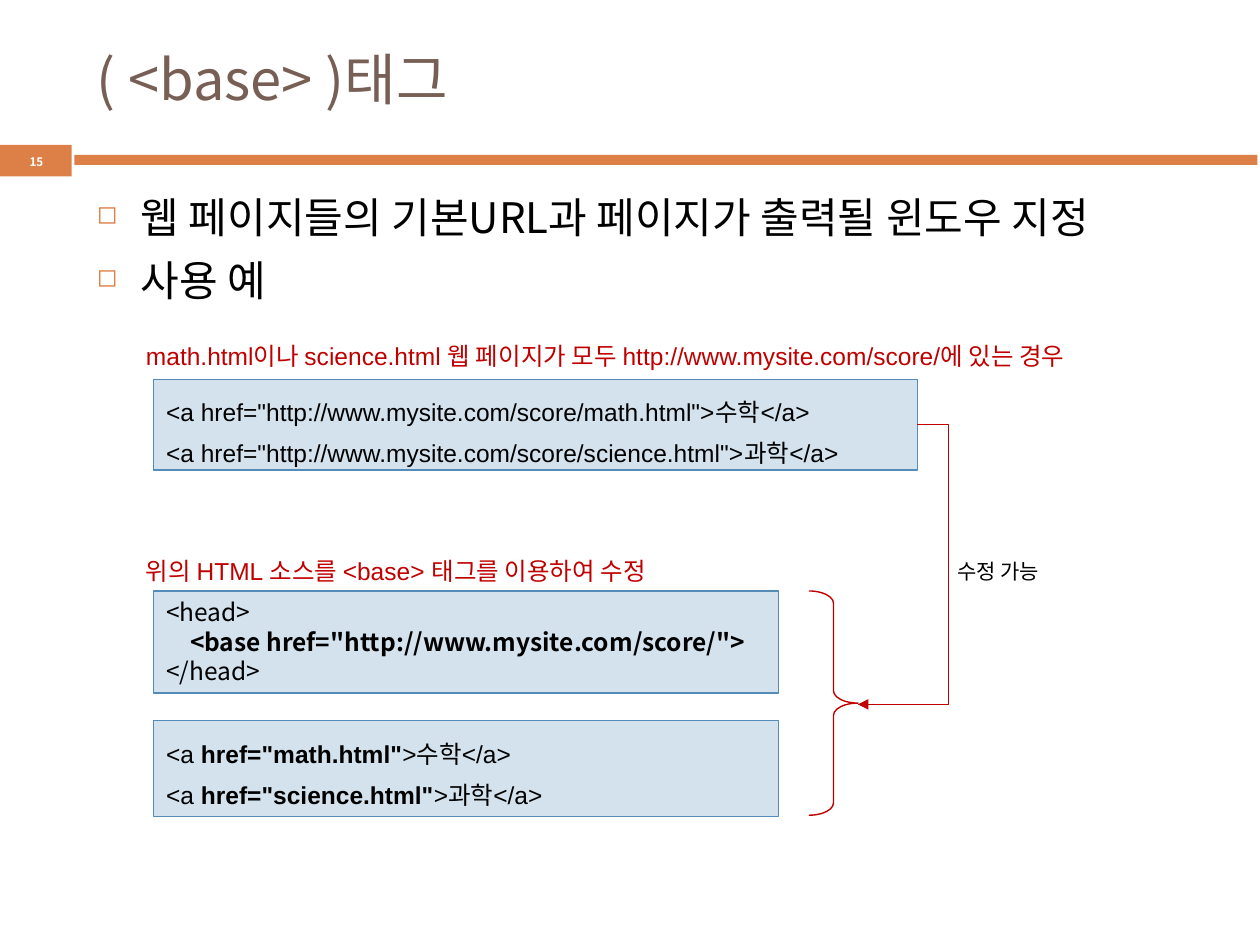
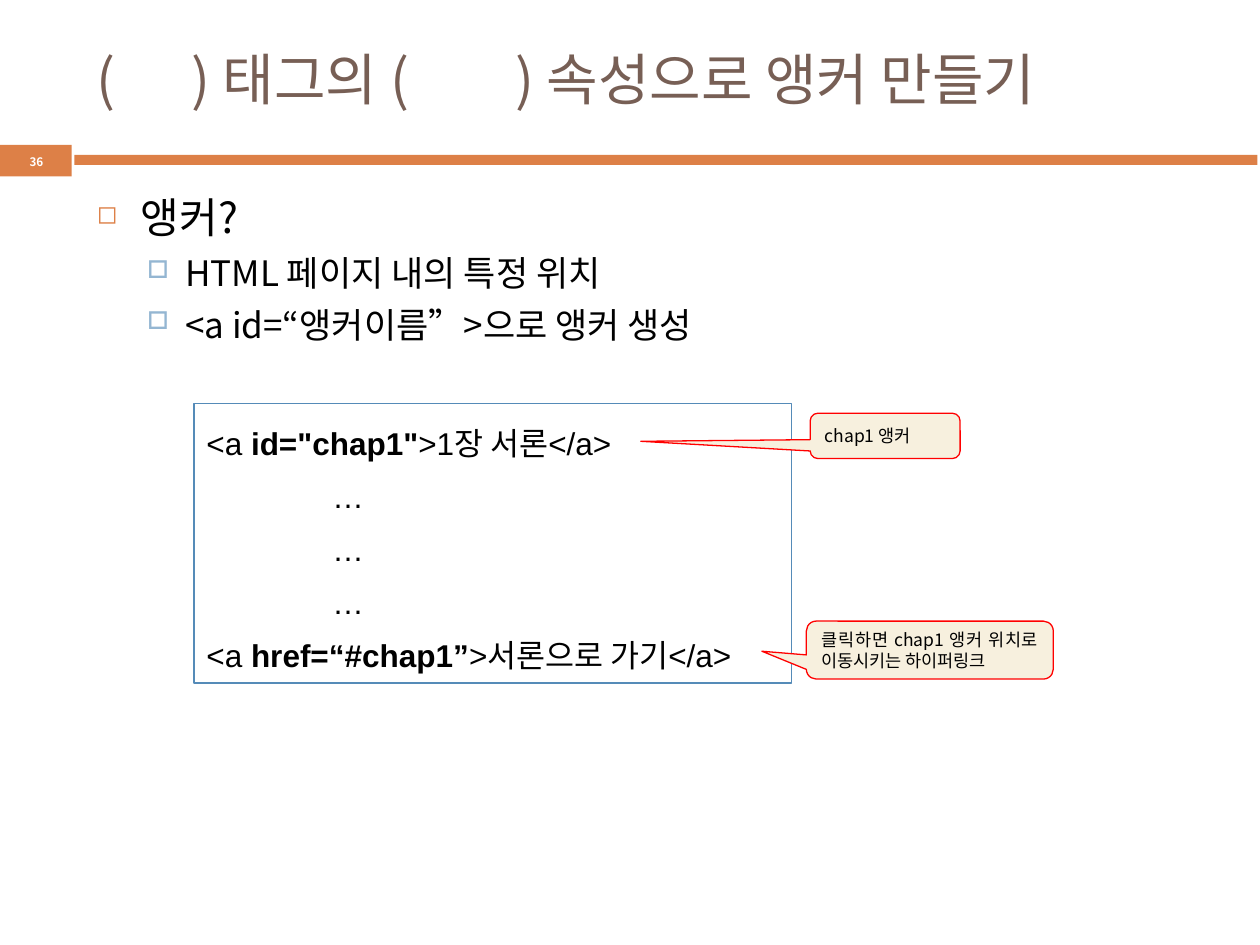
from pptx import Presentation
from pptx.util import Inches, Pt
from pptx.dml.color import RGBColor as Rgb
from pptx.enum.shapes import MSO_SHAPE as Form, MSO_CONNECTOR as Link
from pptx.enum.text import PP_ALIGN as Align, MSO_ANCHOR as Anchor
from pptx.oxml.ns import qn
from lxml.etree import SubElement as Sub

COLS, ROWS = 100, 75
INK = {"band": "DD8047", "title": "775F55", "text": "000000", "white": "FFFFFF",
       "code": "D4E2ED", "edge": "558BB8", "note": "C00000", "sub": "94B6D2",
       "tip": "F7F0DE", "red": "FF0000"}
SANS, CODE = "Noto Sans CJK KR", "Arial"
# Outline levels: mark, its colour and percent, left edge, hang, size, space before
LEVELS = [("◻", "band", 60, 0.35, 0.35, 24, 7),
          ("□", "sub", 70, 0.7, 0.3, 20, 5.5)]


def write(frame, lines, size=14, font=SANS, ink="text", bold=False, align=None,
          space=None, tabs=(), wrap=True, anchor=Anchor.TOP):
    """Fill a frame with lines; parts between asterisks are bold."""
    frame.word_wrap, frame.vertical_anchor = wrap, anchor
    for i, line in enumerate(lines):
        para = frame.paragraphs[0] if i == 0 else frame.add_paragraph()
        para.alignment = align or Align.LEFT
        if space:
            para.line_spacing = space
        if tabs:
            stops = Sub(para._p.get_or_add_pPr(), qn("a:tabLst"))
            for stop in tabs:
                Sub(stops, qn("a:tab"), pos=str(Inches(stop)), algn="l")
        for j, part in enumerate(line.split("*")):
            if not part:
                continue
            run = para.add_run()
            run.text = part
            face = run.font
            face.size, face.name, face.bold = Pt(size), font, bold or j % 2 == 1
            face.color.rgb = Rgb.from_string(INK[ink])
            Sub(face._element, qn("a:ea"), typeface=SANS)
    return frame


class Deck:
    def __init__(self):
        self.prs = Presentation()
        self.prs.slide_width, self.prs.slide_height = Inches(10), Inches(7.5)

    def grid(self, *spots):
        """Turn column, row, column, row ... into lengths."""
        units = self.prs.slide_width / COLS, self.prs.slide_height / ROWS
        return [round(s * units[i % 2]) for i, s in enumerate(spots)]

    def page(self, number, title, **fmt):
        self.slide = self.prs.slides.add_slide(self.prs.slide_layouts[6])
        self.shape(Form.RECTANGLE, (0, 11.5, 5.7, 2.5), fill="band")
        self.shape(Form.RECTANGLE, (5.9, 12.3, 93.9, 0.8), fill="band")
        self.text((6.7, 2.5, 89.2, 7.4), [title], size=32, ink="title",
                  anchor=Anchor.MIDDLE, **fmt)
        frame = self.text((0, 11.9, 5.8, 1.9), [str(number)], size=6.7, ink="white",
                          bold=True, align=Align.CENTER, anchor=Anchor.MIDDLE)
        frame.margin_top = frame.margin_bottom = 0

    def paint(self, line, ink, width):
        line.color.rgb, line.width = Rgb.from_string(INK[ink]), Pt(width)

    def shape(self, form, box, fill=None, edge=None, width=0.75, bends=()):
        item = self.slide.shapes.add_shape(form, *self.grid(*box))
        item.shadow.inherit = False
        if fill:
            item.fill.solid()
            item.fill.fore_color.rgb = Rgb.from_string(INK[fill])
        else:
            item.fill.background()
        if edge:
            self.paint(item.line, edge, width)
        else:
            item.line.fill.background()
        for i, bend in enumerate(bends):
            item.adjustments[i] = bend
        return item

    def text(self, box, lines, **fmt):
        item = self.slide.shapes.add_textbox(*self.grid(*box))
        return write(item.text_frame, lines, **fmt)

    def outline(self, items):
        frame = self.text((6.7, 14.7, 89.2, 55.1), [text for _, text in items])
        for para, (level, _) in zip(frame.paragraphs, items):
            mark, ink, part, left, hang, size, gap = LEVELS[level]
            para.level, para.space_before = level, Pt(gap)
            para.runs[0].font.size = Pt(size)
            props = para._p.get_or_add_pPr()
            props.set("marL", str(Inches(left)))
            props.set("indent", str(-Inches(hang)))
            Sub(Sub(props, qn("a:buClr")), qn("a:srgbClr"), val=INK[ink])
            Sub(props, qn("a:buSzPct"), val=str(part * 1000))
            Sub(props, qn("a:buChar"), char=mark)

    def code(self, box, lines, fill="code", **fmt):
        item = self.shape(Form.RECTANGLE, box, fill, "edge")
        write(item.text_frame, lines, **{"font": CODE, "space": 1.4, **fmt})

    def note(self, row, line):
        self.text((10.6, row, 83.5, 4.5), [line], font=CODE, ink="note", space=1.6)

    def tip(self, box, line, bends):
        item = self.shape(Form.ROUNDED_RECTANGULAR_CALLOUT, box, "tip", "red",
                          bends=bends)
        write(item.text_frame, [line], size=10, align=Align.JUSTIFY,
              anchor=Anchor.MIDDLE)

    def elbow(self, ends, bend):
        item = self.slide.shapes.add_connector(Link.ELBOW, *self.grid(*ends))
        self.paint(item.line, "note", 0.79)
        props = item._element.spPr
        guides = props.find(qn("a:prstGeom")).get_or_add_avLst()
        Sub(guides, qn("a:gd"), name="adj1", fmla=f"val {round(bend * 100000)}")
        Sub(props.find(qn("a:ln")), qn("a:tailEnd"), type="triangle")
        Sub(props, qn("a:effectLst"))


deck = Deck()

# The base tag
deck.page(15, "( <base> )태그")
deck.outline([(0, "웹 페이지들의 기본URL과 페이지가 출력될 윈도우 지정"), (0, "사용 예")])
site = "http://www.mysite.com/score/"
deck.code((12.2, 30.1, 60.6, 7.2), [f'<a href="{site}math.html">수학</a>',
                                    f'<a href="{site}science.html">과학</a>'])
deck.code((12.2, 46.9, 49.6, 8.1), ["<head>", f'\t*<base href="{site}">*', "</head>"],
          font=SANS, space=None, tabs=[0.19])
deck.code((12.2, 57.2, 49.6, 7.6), ['<a *href="math.html"*>수학</a>',
                                    '<a *href="science.html"*>과학</a>'])
deck.note(25.2, f"math.html이나 science.html 웹 페이지가 모두 {site}에 있는 경우")
deck.note(42.2, "위의 HTML 소스를 <base> 태그를 이용하여 수정")
deck.shape(Form.RIGHT_BRACE, (64.2, 46.9, 3.9, 17.8), edge="note", width=0.79,
           bends=(0.25, 0.5))
deck.elbow((72.8, 33.7, 68.1, 55.9), -0.53)
deck.text((75, 43.8, 9.3, 3), ["수정 가능"], size=12, wrap=False)

# Anchors
deck.page(36, "(\t) 태그의 (\t) 속성으로 앵커 만들기", tabs=[0.75, 3.32])
deck.outline([(0, "앵커?"), (1, "HTML 페이지 내의 특정 위치"),
              (1, "<a id=“앵커이름”>으로 앵커 생성")])
deck.code((15.4, 32, 47.4, 22.2),
          ['<a *id="chap1"*>1장 서론</a>', *["\t…"] * 3,
           "<a *href=“#chap1”*>서론으로 가기</a>"],
          fill=None, size=18, tabs=[1], wrap=False)
deck.tip((64.3, 32.8, 11.9, 3.6), "chap1 앵커", (-1.63, 0.12, 0.17))
deck.tip((64, 49.3, 19.6, 4.6), "클릭하면 chap1 앵커 위치로 이동시키는 하이퍼링크",
         (-0.68, 0.02, 0.17))

deck.prs.save("out.pptx")
